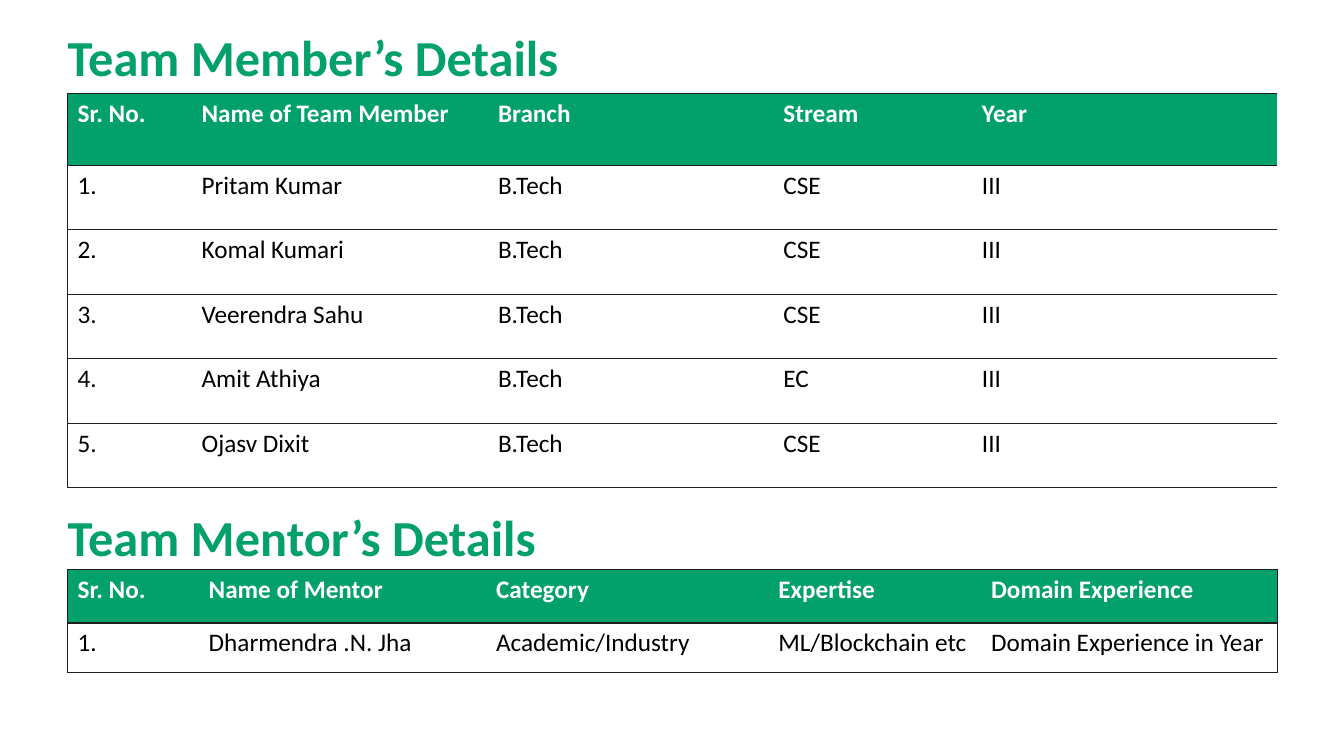
"""Build the team details slide."""
from dataclasses import dataclass

from lxml import etree
from pptx import Presentation
from pptx.dml.color import RGBColor
from pptx.enum.text import MSO_ANCHOR, MSO_AUTO_SIZE, PP_ALIGN
from pptx.oxml.ns import qn
from pptx.util import Inches, Pt

LEFT = PP_ALIGN.LEFT
MIDDLE = MSO_ANCHOR.MIDDLE
NO_FIT = MSO_AUTO_SIZE.NONE
GREEN, WHITE, BLACK, EDGE = "02A06B", "FFFFFF", "000000", "1E1E1E"
FONT = "Calibri"
X, WIDTH = 0.67, 12
HEAD_HIGH = 0.59


@dataclass
class Grid:
    """One table: its place, sizes, text and whether its right side is closed."""
    top: float
    cols: list[float]
    rows: list[float]
    data: list[list[str]]
    closed: bool


MEMBERS = [
    ("Pritam Kumar", "CSE"),
    ("Komal Kumari", "CSE"),
    ("Veerendra Sahu", "CSE"),
    ("Amit Athiya", "EC"),
    ("Ojasv Dixit", "CSE"),
]
TEAM = Grid(
    0.93, [1.23, 2.94, 2.83, 1.97, 3.03], [0.71] + [0.64] * len(MEMBERS),
    [["Sr. No.", "Name of Team Member", "Branch", "Stream", "Year"]]
    + [[f"{n}.", name, "B.Tech", stream, "III"]
       for n, (name, stream) in enumerate(MEMBERS, 1)],
    False,
)
MENTOR = Grid(
    5.65, [1.3, 2.85, 2.8, 2.11, 2.94], [0.53, 0.49],
    [["Sr. No.", "Name of Mentor", "Category", "Expertise", "Domain Experience"],
     ["1.", "Dharmendra .N. Jha", "Academic/Industry", "ML/Blockchain etc",
      "Domain Experience in Year"]],
    True,
)


def paint(target, color: str) -> None:
    """Set a solid colour on a fill or a font."""
    if hasattr(target, "solid"):
        target.solid()
        target.fore_color.rgb = RGBColor.from_string(color)
    else:
        target.color.rgb = RGBColor.from_string(color)


def write(frame, text: str, *, size: float, color: str, bold: bool = False,
          space: float = 1.0) -> None:
    """Put one formatted line of text in a frame."""
    line = frame.paragraphs[0]
    line.alignment = LEFT
    line.line_spacing = space
    run = line.add_run()
    run.text = text
    run.font.name = FONT
    run.font.size = Pt(size)
    run.font.bold = bold
    paint(run.font, color)


def head(shape, text: str, top: float) -> None:
    """Place and format a heading."""
    shape.left, shape.top = Inches(X), Inches(top)
    shape.width, shape.height = Inches(WIDTH), Inches(HEAD_HIGH)
    frame = shape.text_frame
    frame.word_wrap = True
    frame.auto_size = NO_FIT
    frame.vertical_anchor = MIDDLE
    frame.margin_left, frame.margin_right = 0, Inches(0.1)
    frame.margin_top = frame.margin_bottom = Inches(0.05)
    write(frame, text, size=36, color=GREEN, bold=True, space=0.9)


def edge(cell, shown: str) -> None:
    """Draw the named sides of a cell and clear the others."""
    props = cell._tc.get_or_add_tcPr()
    for spot, side in enumerate("LRTB"):
        line = etree.Element(qn(f"a:ln{side}"), w=str(Pt(1)))
        if side in shown:
            fill = etree.SubElement(line, qn("a:solidFill"))
            etree.SubElement(fill, qn("a:srgbClr"), val=EDGE)
        else:
            etree.SubElement(line, qn("a:noFill"))
        props.insert(spot, line)


def draw(slide, grid: Grid) -> None:
    """Add a table with a green top row."""
    table = slide.shapes.add_table(
        len(grid.rows), len(grid.cols), Inches(X), Inches(grid.top),
        Inches(WIDTH), Inches(sum(grid.rows))).table
    for col, width in zip(table.columns, grid.cols):
        col.width = Inches(width)
    for row, high in zip(table.rows, grid.rows):
        row.height = Inches(high)
    last = len(grid.cols) - 1
    for r, words in enumerate(grid.data):
        for c, text in enumerate(words):
            cell = table.cell(r, c)
            top = r == 0
            paint(cell.fill, GREEN if top else WHITE)
            write(cell.text_frame, text, size=18, bold=top,
                  color=WHITE if top else BLACK)
            left = "L" if c == 0 else ""
            right = "R" if c == last and grid.closed else ""
            edge(cell, "TB" + left + right)


def main() -> None:
    """Build and save the slide."""
    deck = Presentation()
    deck.slide_width, deck.slide_height = Inches(13.33), Inches(7.5)
    slide = deck.slides.add_slide(deck.slide_layouts.get_by_name("Title Only"))
    paint(slide.background.fill, WHITE)
    draw(slide, TEAM)
    head(slide.shapes.title, "Team Member’s Details", 0.3)
    head(slide.shapes.add_textbox(0, 0, 0, 0), "Team Mentor’s Details", 5.06)
    draw(slide, MENTOR)
    deck.save("out.pptx")


if __name__ == "__main__":
    main()
